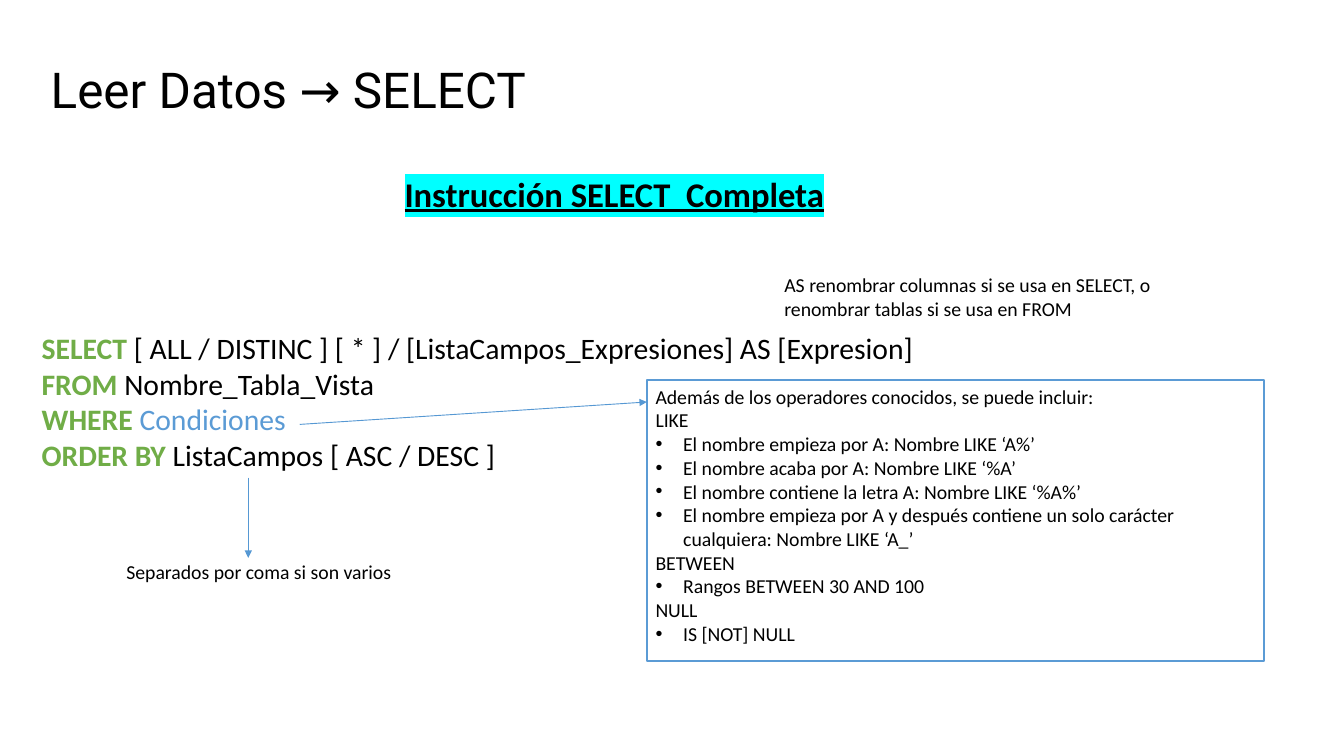
from dataclasses import dataclass

from lxml import etree
from pptx import Presentation
from pptx import util as u
from pptx.dml.color import RGBColor
from pptx.enum import shapes, text
from pptx.oxml import ns


@dataclass(frozen=True)
class Theme:
    body_font: str = "Calibri"
    title_font: str = "Roboto"
    ink: str = "000000"
    paper: str = "FFFFFF"
    keyword: str = "70AD47"
    accent: str = "5B9BD5"
    arrow: str = "5698D3"
    marker: str = "00FFFF"
    title_size: int = 40
    heading_size: int = 28
    query_size: int = 24
    note_size: int = 16


THEME = Theme()


@dataclass(frozen=True)
class Span:
    words: str
    color: str = THEME.ink
    bold: bool = False
    underline: bool = False
    highlight: str = ""


@dataclass(frozen=True)
class Para:
    spans: tuple[Span, ...]
    bullet: bool = False


@dataclass(frozen=True)
class Box:
    left: float
    top: float
    width: float
    height: float
    paras: tuple[Para, ...]
    size: int
    font: str = THEME.body_font
    align: text.PP_ALIGN = text.PP_ALIGN.LEFT
    anchor: text.MSO_ANCHOR = text.MSO_ANCHOR.TOP
    inset: tuple[float, float] = (0.25, 0.13)
    wrap: bool = True
    grow: bool = True
    framed: bool = False


@dataclass(frozen=True)
class Arrow:
    start: tuple[float, float]
    end: tuple[float, float]


def line(words: str) -> Para:
    return Para((Span(words),))


def item(words: str) -> Para:
    return Para((Span(words),), bullet=True)


def clause(keyword: str, rest: str, color: str = THEME.ink) -> Para:
    return Para((Span(keyword, THEME.keyword, bold=True), Span(rest, color)))


TITLE = Box(1.32, 0.81, 27.66, 3.43, (line("Leer Datos → SELECT"),),
            THEME.title_size, THEME.title_font, anchor=text.MSO_ANCHOR.MIDDLE,
            inset=(0.13, 0.13), grow=False)
HEADING = Box(10.95, 4.8, 13.18, 1.45,
              (Para((Span("Instrucción SELECT  Completa", bold=True,
                          underline=True, highlight=THEME.marker),)),),
              THEME.heading_size, align=text.PP_ALIGN.CENTER)
QUERY = Box(0.94, 9.3, 31.14, 4.37, (
    clause("SELECT", " [ ALL / DISTINC ] [ * ] / [ListaCampos_Expresiones] AS [Expresion]"),
    clause("FROM ", "Nombre_Tabla_Vista"),
    clause("WHERE ", "Condiciones", THEME.accent),
    clause("ORDER BY ", "ListaCampos [ ASC / DESC ]"),
), THEME.query_size)
ALIAS_NOTE = Box(22.15, 7.67, 11.84, 1.63, (
    line("AS renombrar columnas si se usa en SELECT, o renombrar tablas si se usa en FROM"),
), THEME.note_size)
OPERATORS = Box(18.47, 10.85, 17.63, 8.03, (
    line("Además de los operadores conocidos, se puede incluir:"),
    line("LIKE"),
    item("El nombre empieza por A: Nombre LIKE ‘A%’"),
    item("El nombre acaba por A: Nombre LIKE ‘%A’"),
    item("El nombre contiene la letra A: Nombre LIKE ‘%A%’"),
    item("El nombre empieza por A y después contiene un solo carácter "
         "cualquiera: Nombre LIKE ‘A_’"),
    line("BETWEEN"),
    item("Rangos BETWEEN 30 AND 100"),
    line("NULL"),
    item("IS [NOT] NULL"),
), THEME.note_size, framed=True)
ORDER_NOTE = Box(3.61, 16, 7.7, 0.69, (line("Separados por coma si son varios"),),
                 THEME.note_size, inset=(0, 0), wrap=False)

BOXES = (TITLE, HEADING, QUERY, ALIAS_NOTE, OPERATORS, ORDER_NOTE)
ARROWS = (
    Arrow((8.56, 12.12), (OPERATORS.left, 11.48)),
    Arrow((7.09, 13.64), (7.09, 15.93)),
)


def rgb(color: str) -> RGBColor:
    return RGBColor.from_string(color)


def add_bullet(paragraph) -> None:
    properties = paragraph._p.get_or_add_pPr()
    properties.set("marL", str(u.Cm(0.79)))
    properties.set("indent", str(u.Cm(-0.79)))
    etree.SubElement(properties, ns.qn("a:buFont"), typeface="Arial")
    etree.SubElement(properties, ns.qn("a:buChar"), char="•")


def add_span(paragraph, span: Span, box: Box) -> None:
    run = paragraph.add_run()
    run.text = span.words
    font = run.font
    font.name = box.font
    font.size = u.Pt(box.size)
    font.bold = span.bold
    font.underline = span.underline
    font.color.rgb = rgb(span.color)
    if span.highlight:
        highlight = etree.Element(ns.qn("a:highlight"))
        etree.SubElement(highlight, ns.qn("a:srgbClr"), val=span.highlight)
        run._r.rPr.find(ns.qn("a:solidFill")).addnext(highlight)


def draw_box(page, box: Box) -> None:
    area = [u.Cm(n) for n in (box.left, box.top, box.width, box.height)]
    if box.framed:
        shape = page.shapes.add_shape(shapes.MSO_SHAPE.RECTANGLE, *area)
        shape.shadow.inherit = False
        shape.fill.solid()
        shape.fill.fore_color.rgb = rgb(THEME.paper)
        shape.line.color.rgb = rgb(THEME.accent)
        shape.line.width = u.Pt(2)
    else:
        shape = page.shapes.add_textbox(*area)
    frame = shape.text_frame
    frame.word_wrap = box.wrap
    frame.auto_size = (text.MSO_AUTO_SIZE.SHAPE_TO_FIT_TEXT if box.grow
                       else text.MSO_AUTO_SIZE.NONE)
    frame.vertical_anchor = box.anchor
    frame.margin_left = frame.margin_right = u.Cm(box.inset[0])
    frame.margin_top = frame.margin_bottom = u.Cm(box.inset[1])
    for index, para in enumerate(box.paras):
        paragraph = frame.add_paragraph() if index else frame.paragraphs[0]
        paragraph.alignment = box.align
        if para.bullet:
            add_bullet(paragraph)
        for span in para.spans:
            add_span(paragraph, span, box)


def draw_arrow(page, arrow: Arrow) -> None:
    ends = [u.Cm(n) for n in (*arrow.start, *arrow.end)]
    connector = page.shapes.add_connector(shapes.MSO_CONNECTOR.STRAIGHT, *ends)
    connector.line.color.rgb = rgb(THEME.arrow)
    connector.line.width = u.Pt(0.75)
    etree.SubElement(connector.line._get_or_add_ln(), ns.qn("a:tailEnd"), type="triangle")
    etree.SubElement(connector._element.spPr, ns.qn("a:effectLst"))


def main() -> None:
    deck = Presentation()
    deck.slide_width = u.Cm(38.38)
    deck.slide_height = u.Cm(21.59)
    page = deck.slides.add_slide(deck.slide_layouts[6])
    for box in BOXES:
        draw_box(page, box)
    for arrow in ARROWS:
        draw_arrow(page, arrow)
    deck.save("out.pptx")


if __name__ == "__main__":
    main()
